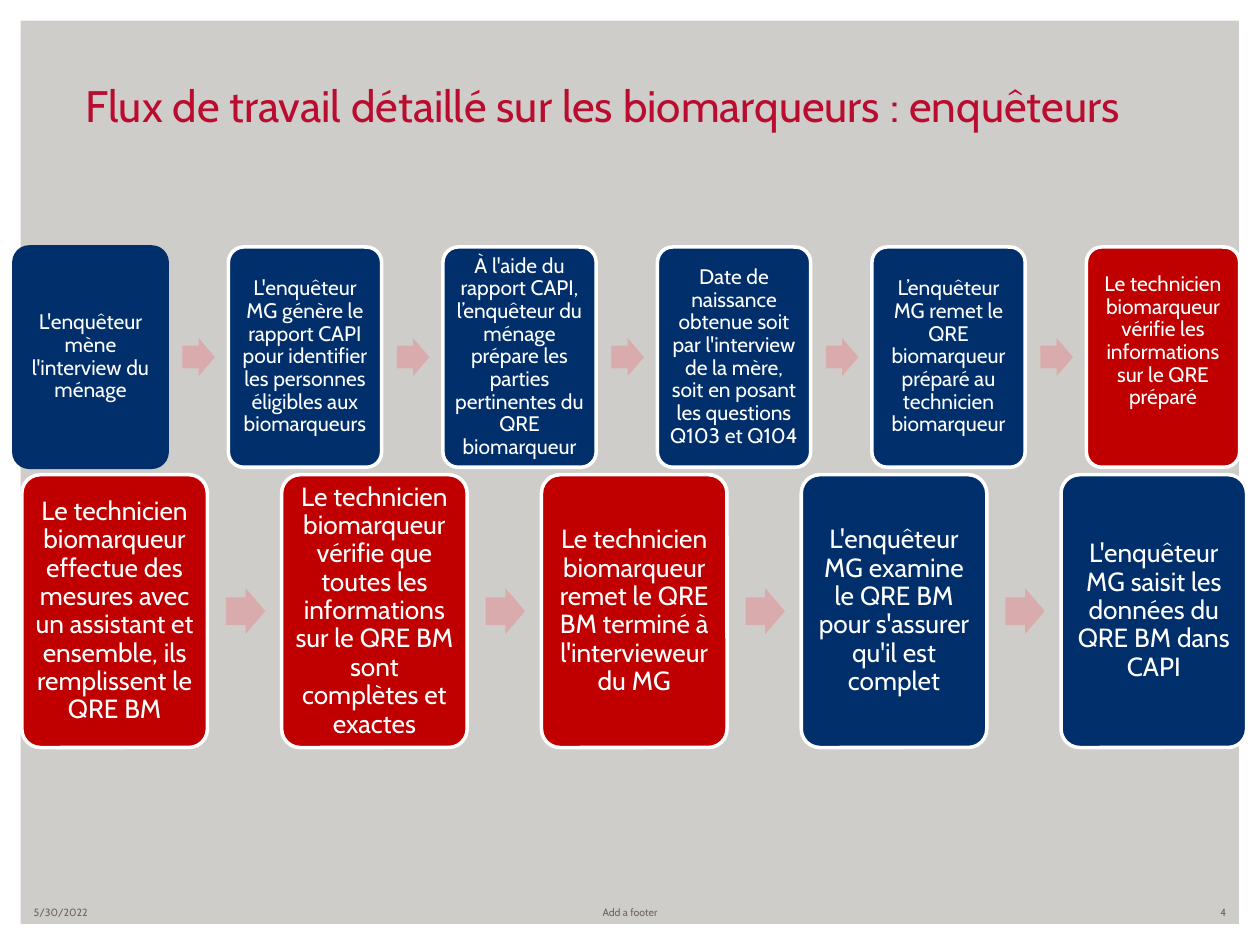
from pptx import Presentation
from pptx.dml.color import RGBColor
from pptx.enum.shapes import MSO_SHAPE
from pptx.enum.text import MSO_ANCHOR, MSO_AUTO_SIZE, PP_ALIGN
from pptx.util import Cm, Pt

COLORS = {
    "background": "CFCDC9",
    "white": "FFFFFF",
    "title": "BA0C2F",
    "interviewer": "002F6C",
    "technician": "C00000",
    "arrow": "D9ABAD",
    "footer": "6C6463",
}

HOUSEHOLD_STEPS = [
    ("interviewer", "L'enquêteur mène l'interview du ménage"),
    ("interviewer", "L'enquêteur MG génère le rapport CAPI pour identifier les "
                    "personnes éligibles aux biomarqueurs"),
    ("interviewer", "À l'aide du rapport CAPI, l’enquêteur du ménage prépare les "
                    "parties pertinentes du QRE biomarqueur"),
    ("interviewer", "Date de naissance obtenue soit par l'interview de la mère, "
                    "soit en posant les questions Q103 et Q104"),
    ("interviewer", "L’enquêteur MG remet le QRE biomarqueur préparé au "
                    "technicien biomarqueur"),
    ("technician", "Le technicien biomarqueur vérifie les informations sur le "
                   "QRE préparé"),
]
MEASUREMENT_STEPS = [
    ("technician", "Le technicien biomarqueur effectue des mesures avec un "
                   "assistant et ensemble, ils remplissent le QRE BM"),
    ("technician", "Le technicien biomarqueur vérifie que toutes les "
                   "informations sur le QRE BM sont complètes et exactes"),
    ("technician", "Le technicien biomarqueur remet le QRE BM terminé à "
                   "l'intervieweur du MG"),
    ("interviewer", "L'enquêteur MG examine le QRE BM pour s'assurer qu'il est "
                    "complet"),
    ("interviewer", "L'enquêteur MG saisit les données du QRE BM dans CAPI"),
]


def color(name):
    return RGBColor.from_string(COLORS[name])


def set_attributes(target, values):
    for name, value in values.items():
        setattr(target, name, value)


def write_text(shape, text, size, font_color, alignment, frame_format):
    frame = shape.text_frame
    set_attributes(frame, {"word_wrap": True, **frame_format})
    frame.text = text
    paragraph = frame.paragraphs[0]
    paragraph.alignment = alignment
    set_attributes(paragraph.font, {"name": "Cabin", "size": Pt(size)})
    paragraph.font.color.rgb = color(font_color)
    return paragraph


def add_filled_shape(slide, kind, box, adjustments, fill, line=None):
    shape = slide.shapes.add_shape(kind, *map(Cm, box))
    shape.shadow.inherit = False
    for index, value in enumerate(adjustments):
        shape.adjustments[index] = value
    shape.fill.solid()
    shape.fill.fore_color.rgb = color(fill)
    if line:
        shape.line.color.rgb = color(line)
        shape.line.width = Pt(2)
    else:
        shape.line.fill.background()
    return shape


def add_background(slide, box):
    slide.background.fill.solid()
    slide.background.fill.fore_color.rgb = color("background")
    add_filled_shape(slide, MSO_SHAPE.FRAME, box, [0.022], "white")


def add_title(slide, box):
    title = slide.shapes.title
    set_attributes(title, dict(zip(("left", "top", "width", "height"), map(Cm, box))))
    write_text(title, "Flux de travail détaillé sur les biomarqueurs\u00a0: enquêteurs",
               25.2, "title", PP_ALIGN.LEFT,
               {"vertical_anchor": MSO_ANCHOR.BOTTOM, "auto_size": MSO_AUTO_SIZE.NONE})


def add_process(slide, box, steps, size, margin):
    left, top, width, height = box
    step_width = width / (1 + 1.4 * (len(steps) - 1))
    arrow_width, arrow_height = 0.212 * step_width, 0.248 * step_width
    frame_format = {"vertical_anchor": MSO_ANCHOR.MIDDLE}
    for side in ("left", "top", "right", "bottom"):
        frame_format[f"margin_{side}"] = Cm(margin)
    shapes = []
    for index, (role, text) in enumerate(steps):
        step_left = left + index * 1.4 * step_width
        if index:
            add_filled_shape(slide, MSO_SHAPE.RIGHT_ARROW,
                             (step_left - 0.3 * step_width,
                              top + (height - arrow_height) / 2,
                              arrow_width, arrow_height), [0.6, 0.5], "arrow")
        shape = add_filled_shape(slide, MSO_SHAPE.ROUNDED_RECTANGLE,
                                 (step_left, top, step_width, height),
                                 [0.1], role, "white")
        paragraph = write_text(shape, text, size, "white", PP_ALIGN.CENTER, frame_format)
        paragraph.line_spacing = 0.9
        shapes.append(shape)
    return shapes


def add_footer(slide, box):
    left, top, width, height = box
    side_width, middle_width = 5.93, 8.05
    parts = [
        ("5/30/2022", left, side_width, PP_ALIGN.LEFT),
        ("Add a footer", left + (width - middle_width) / 2, middle_width, PP_ALIGN.CENTER),
        ("4", left + width - side_width, side_width, PP_ALIGN.RIGHT),
    ]
    for text, part_left, part_width, alignment in parts:
        text_box = slide.shapes.add_textbox(*map(Cm, (part_left, top, part_width, height)))
        write_text(text_box, text, 6, "footer", alignment,
                   {"vertical_anchor": MSO_ANCHOR.MIDDLE,
                    "auto_size": MSO_AUTO_SIZE.SHAPE_TO_FIT_TEXT})


def main():
    presentation = Presentation()
    presentation.slide_width, presentation.slide_height = Cm(25.4), Cm(19.05)
    slide = presentation.slides.add_slide(presentation.slide_layouts[5])
    add_background(slide, (0, 0, 25.4, 19.05))
    add_title(slide, (1.47, 0.23, 21.59, 2.54))
    household = add_process(slide, (0.28, 4.98, 24.71, 4.44), HOUSEHOLD_STEPS, 12, 0.12)
    household[0].line.color.rgb = color("interviewer")
    household[-1].text_frame.margin_bottom = Cm(0.76)
    add_process(slide, (0.44, 9.57, 24.69, 5.5), MEASUREMENT_STEPS, 15, 0.15)
    add_footer(slide, (0.43, 18.13, 24.54, 0.51))
    presentation.save("out.pptx")


if __name__ == "__main__":
    main()
